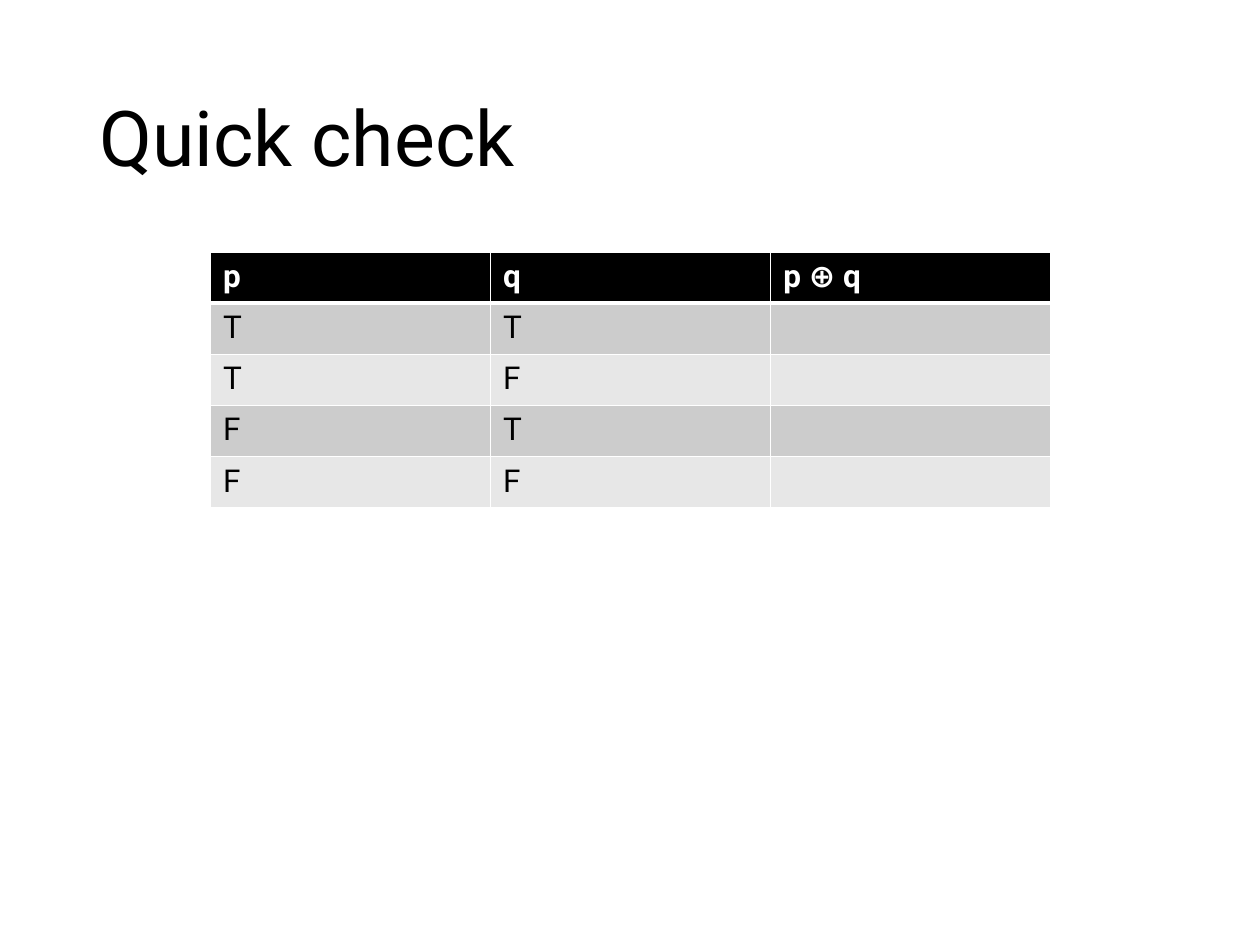
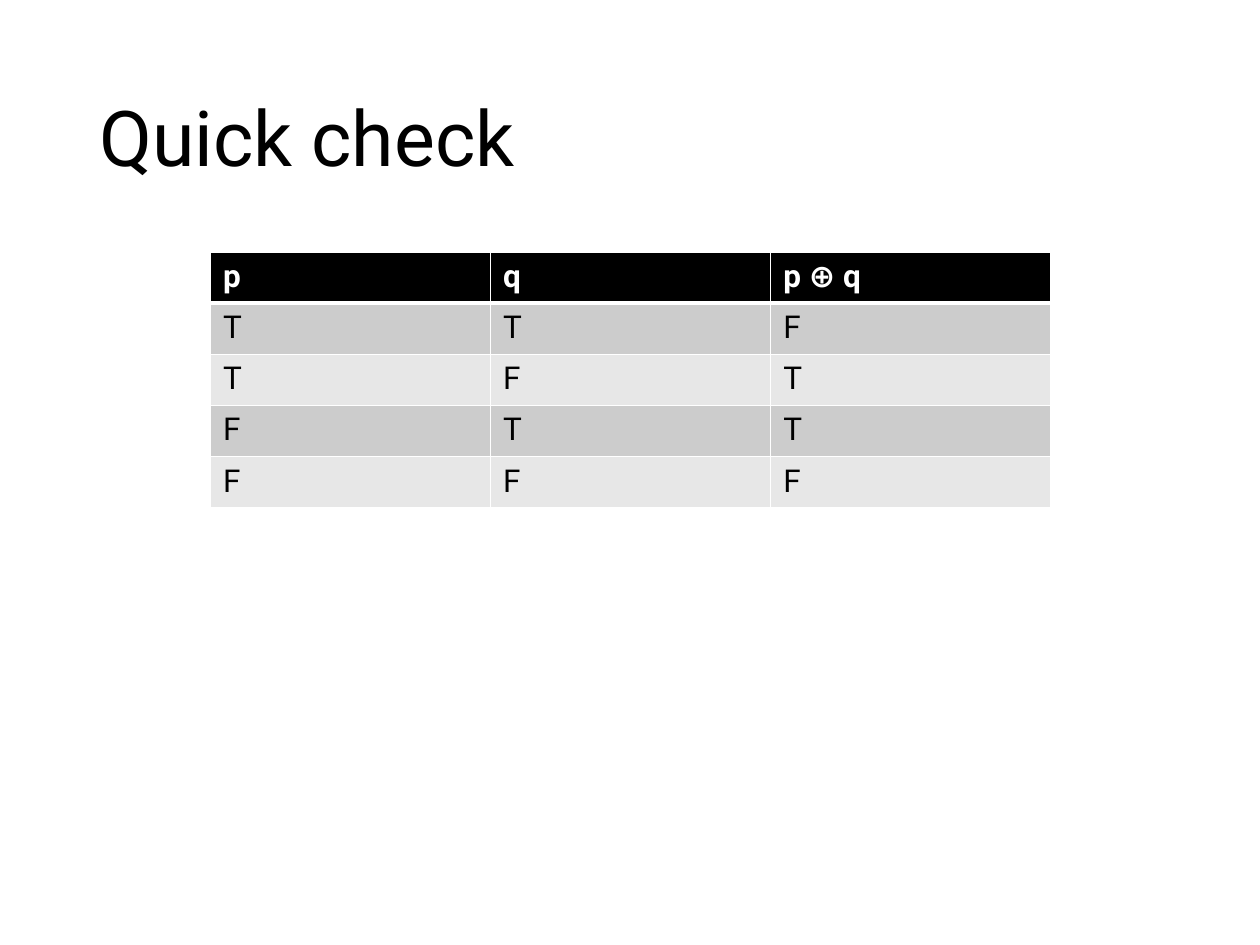
import lxml.etree
import pptx
import pptx.dml.color
import pptx.enum.text
import pptx.oxml.ns
import pptx.util

Inches = pptx.util.Inches
Pt = pptx.util.Pt
qn = pptx.oxml.ns.qn

FONT = "Roboto"
COLORS = {
    "ink": "000000",
    "paper": "FFFFFF",
    "odd_row": "CCCCCC",
    "even_row": "E7E7E7",
}
HEADER = ("p", "q", "p ⊕ q")
INPUTS = (("T", "T"), ("T", "F"), ("F", "T"), ("F", "F"))
ANSWERS = ("F", "T", "T", "F")
TABLE_WIDTH = 6.67
TABLE_HEIGHT = 2.03


def rgb(name):
    return pptx.dml.color.RGBColor.from_string(COLORS[name])


def style_text(paragraph, size, color, bold=False):
    for span in paragraph.runs:
        span.font.name = FONT
        span.font.size = Pt(size)
        span.font.bold = bold
        span.font.color.rgb = rgb(color)


def add_title(page, text):
    box = page.shapes.add_textbox(Inches(0.69), Inches(0.4), Inches(8.62), Inches(1.45))
    frame = box.text_frame
    frame.word_wrap = True
    frame.vertical_anchor = pptx.enum.text.MSO_ANCHOR.MIDDLE
    frame.text = text
    paragraph = frame.paragraphs[0]
    paragraph.line_spacing = 0.9
    style_text(paragraph, 44, "ink")


def set_border(cell, side, width):
    properties = cell._tc.get_or_add_tcPr()
    line = lxml.etree.SubElement(properties, qn("a:" + side), w=str(Pt(width)))
    fill = lxml.etree.SubElement(line, qn("a:solidFill"))
    lxml.etree.SubElement(fill, qn("a:srgbClr"), val=COLORS["paper"])


def style_cell(cell, row):
    is_header = row == 0
    top = 3 if row == 1 else 1
    bottom = 3 if is_header else 1
    for side, width in (("lnL", 1), ("lnR", 1), ("lnT", top), ("lnB", bottom)):
        set_border(cell, side, width)
    if is_header:
        fill = "ink"
    else:
        fill = "odd_row" if row % 2 else "even_row"
    cell.fill.solid()
    cell.fill.fore_color.rgb = rgb(fill)
    color = "paper" if is_header else "ink"
    style_text(cell.text_frame.paragraphs[0], 18, color, is_header)


def add_truth_table(page, answers):
    rows = [HEADER] + [inputs + (answer,) for inputs, answer in zip(INPUTS, answers)]
    frame = page.shapes.add_table(
        len(rows), len(HEADER),
        Inches(1.67), Inches(2), Inches(TABLE_WIDTH), Inches(TABLE_HEIGHT),
    )
    table = frame.table
    for column in table.columns:
        column.width = Inches(TABLE_WIDTH / len(HEADER))
    for row, values in enumerate(rows):
        table.rows[row].height = Inches(TABLE_HEIGHT / len(rows))
        for column, value in enumerate(values):
            cell = table.cell(row, column)
            if value:
                cell.text_frame.text = value
            style_cell(cell, row)


def add_check_page(deck, answers):
    page = deck.slides.add_slide(deck.slide_layouts[6])
    page.background.fill.solid()
    page.background.fill.fore_color.rgb = rgb("paper")
    add_title(page, "Quick check")
    add_truth_table(page, answers)


def main():
    deck = pptx.Presentation()
    deck.slide_width = Inches(10)
    deck.slide_height = Inches(7.5)
    add_check_page(deck, [""] * len(INPUTS))
    add_check_page(deck, ANSWERS)
    deck.save("out.pptx")


main()
